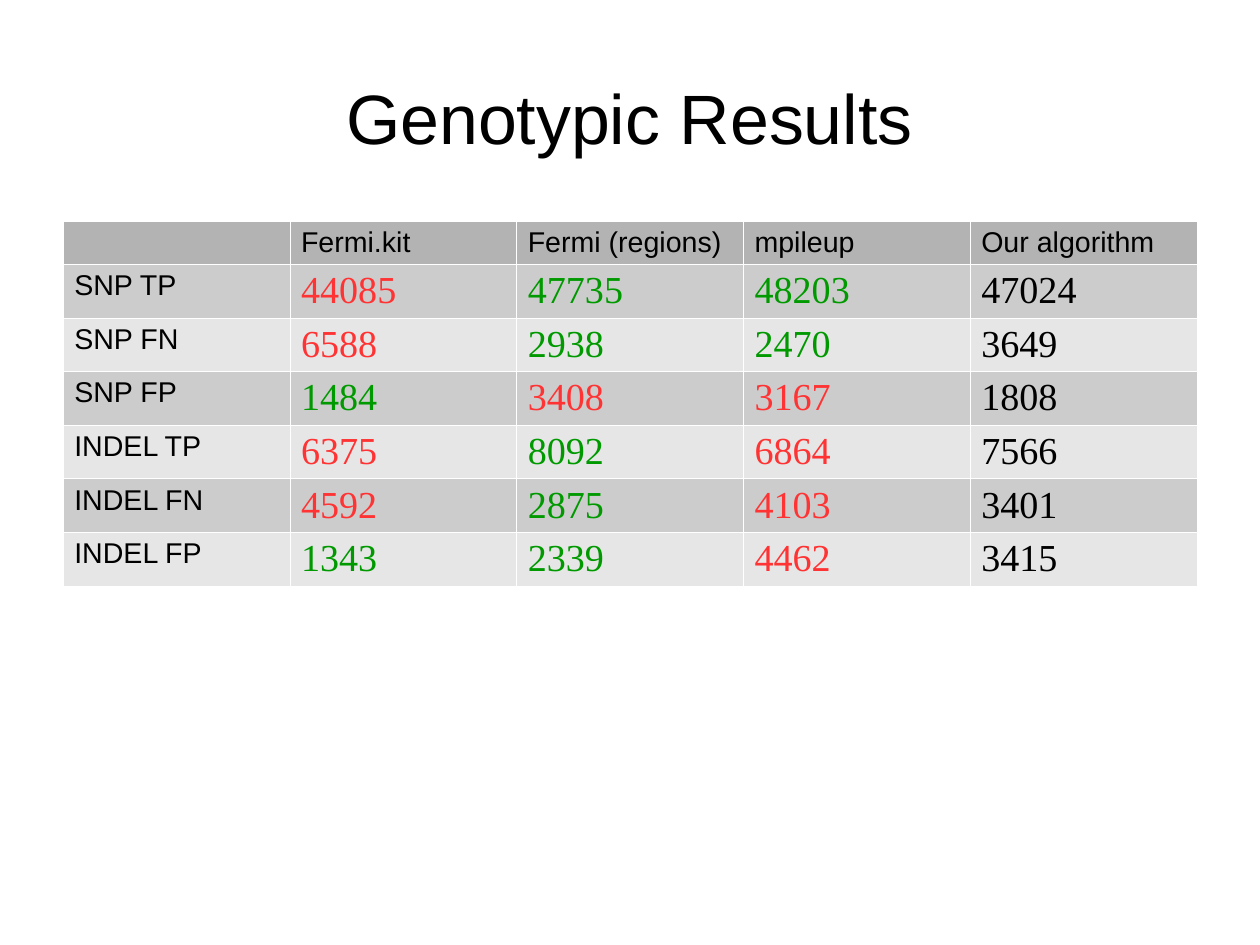
from lxml import etree
from pptx import Presentation
from pptx.dml.color import RGBColor
from pptx.enum.text import MSO_ANCHOR, PP_ALIGN
from pptx.oxml import parse_xml
from pptx.oxml.ns import nsdecls, qn
from pptx.util import Inches, Pt

BLACK = RGBColor(0x00, 0x00, 0x00)
WORSE = RGBColor(0xFF, 0x33, 0x33)
BETTER = RGBColor(0x00, 0x99, 0x00)
HEADER_FILL = RGBColor(0xB3, 0xB3, 0xB3)
BAND_FILLS = RGBColor(0xCC, 0xCC, 0xCC), RGBColor(0xE6, 0xE6, 0xE6)
BORDER = RGBColor(0xFF, 0xFF, 0xFF)
BORDER_WIDTH = Pt(0.06)
CM_PER_INCH = 2.54

METHODS = ["", "Fermi.kit", "Fermi (regions)", "mpileup", "Our algorithm"]
RESULTS = [
    ("SNP TP", 44085, 47735, 48203, 47024),
    ("SNP FN", 6588, 2938, 2470, 3649),
    ("SNP FP", 1484, 3408, 3167, 1808),
    ("INDEL TP", 6375, 8092, 6864, 7566),
    ("INDEL FN", 4592, 2875, 4103, 3401),
    ("INDEL FP", 1343, 2339, 4462, 3415),
]


def write_text(tf, text, size=18, font="Arial", color=BLACK, align=PP_ALIGN.LEFT):
    """Write one formatted run, or only the paragraph's font if there is no text."""
    p = tf.paragraphs[0]
    p.alignment = align
    if not text:
        end = etree.SubElement(p._p, qn("a:endParaRPr"), sz=str(size * 100))
        etree.SubElement(end, qn("a:latin"), typeface=font)
        return
    r = p.add_run()
    r.text = text
    r.font.size = Pt(size)
    r.font.name = font
    r.font.color.rgb = color


def style_cell(cell, fill):
    """Fill a cell and give it thin borders on all sides."""
    cell.fill.solid()
    cell.fill.fore_color.rgb = fill
    tcPr = cell._tc.get_or_add_tcPr()
    for i, side in enumerate("LRTB"):
        ln = parse_xml(f'<a:ln{side} {nsdecls("a")} w="{int(BORDER_WIDTH)}"/>')
        solid = etree.SubElement(ln, qn("a:solidFill"))
        etree.SubElement(solid, qn("a:srgbClr"), val=str(BORDER))
        tcPr.insert(i, ln)


def compare_color(metric, value, ours):
    """Return the colour that rates a value against our algorithm."""
    if value == ours:
        return BLACK
    higher_is_better = metric.endswith("TP")
    return BETTER if (value > ours) == higher_is_better else WORSE


def place_title(s, text, left, top, width, height):
    """Move the title placeholder into its box and write the title."""
    sp = s.shapes.title
    sp.left, sp.top = Inches(left), Inches(top)
    sp.width, sp.height = Inches(width), Inches(height)
    tf = sp.text_frame
    tf.margin_left = tf.margin_right = tf.margin_top = tf.margin_bottom = 0
    tf.vertical_anchor = MSO_ANCHOR.MIDDLE
    tf.word_wrap = True
    write_text(tf, text, size=44, align=PP_ALIGN.CENTER)


def add_results(s, left, top, width, height):
    """Add the results table, with each value rated against our algorithm."""
    table = s.shapes.add_table(
        len(RESULTS) + 1, len(METHODS),
        Inches(left), Inches(top), Inches(width), Inches(height),
    ).table
    for col, method in enumerate(METHODS):
        cell = table.cell(0, col)
        style_cell(cell, HEADER_FILL)
        write_text(cell.text_frame, method)
    for row, (metric, *values) in enumerate(RESULTS, 1):
        for col in range(len(METHODS)):
            style_cell(table.cell(row, col), BAND_FILLS[(row - 1) % 2])
        write_text(table.cell(row, 0).text_frame, metric)
        for col, value in enumerate(values, 1):
            write_text(table.cell(row, col).text_frame, str(value), size=24,
                       font="Times New Roman",
                       color=compare_color(metric, value, values[-1]))


def main():
    """Build the slide and save it."""
    prs = Presentation()
    prs.slide_width = Inches(28 / CM_PER_INCH)
    prs.slide_height = Inches(21 / CM_PER_INCH)
    s = prs.slides.add_slide(prs.slide_layouts[5])
    place_title(s, "Genotypic Results", 0.55, 0.33, 9.92, 1.38)
    add_results(s, 0.55, 1.93, 9.92, 2.58)
    prs.save("out.pptx")


main()
